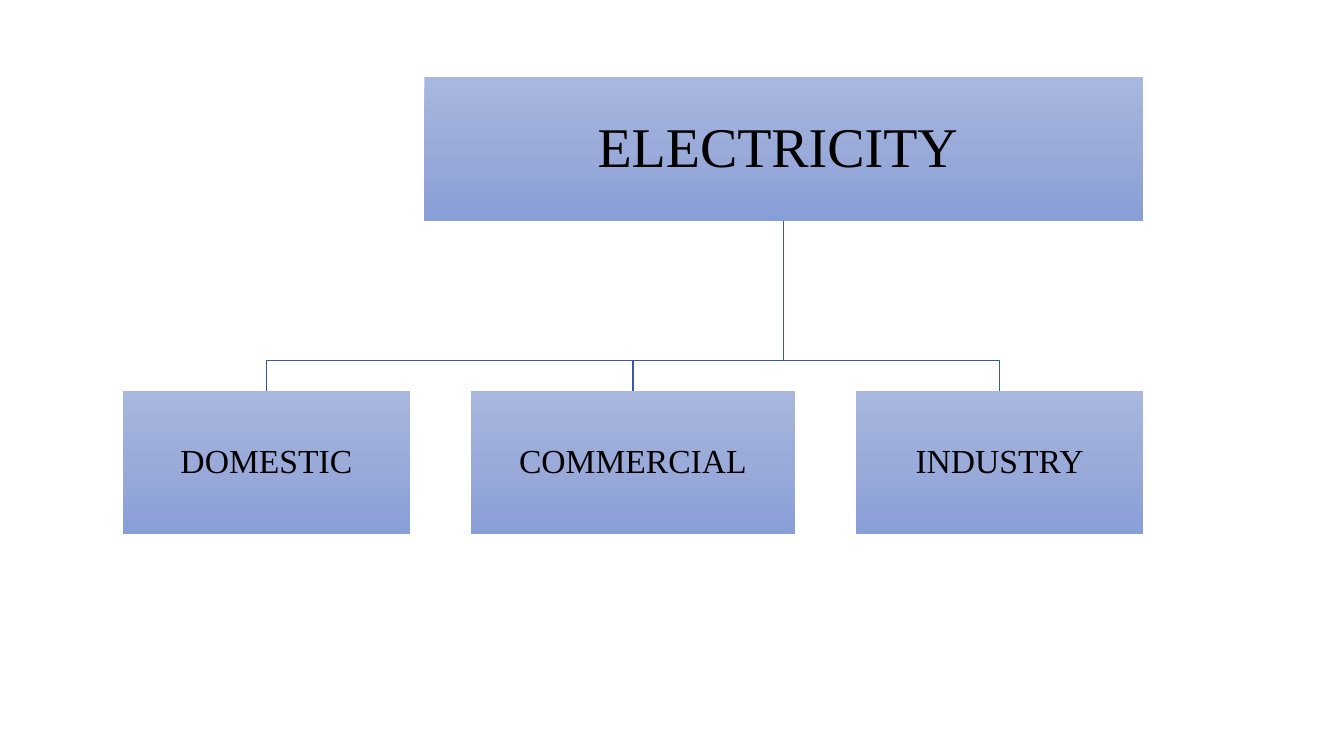
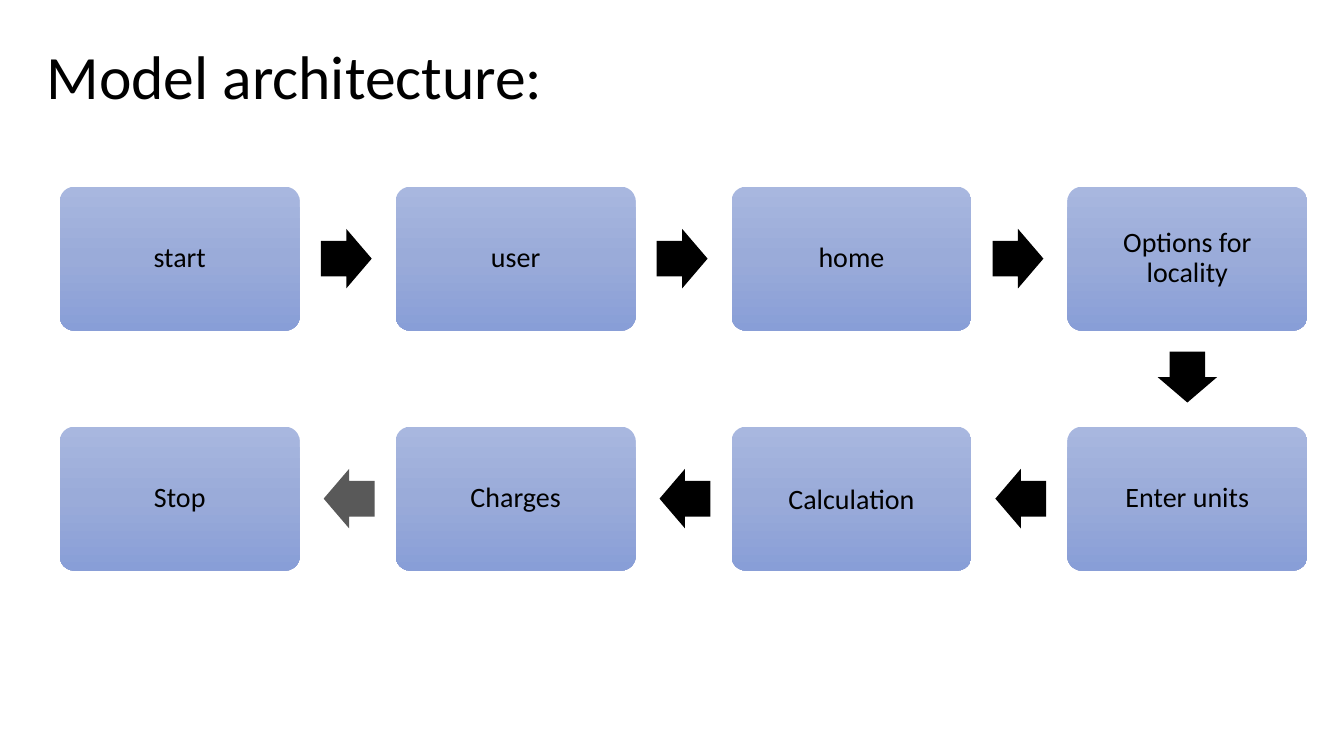
"""Build two slides: an electricity hierarchy and a model architecture flow."""
from copy import deepcopy
from dataclasses import dataclass

from pptx import Presentation
from pptx.dml.color import RGBColor
from pptx.enum.shapes import MSO_SHAPE
from pptx.enum.text import MSO_ANCHOR, MSO_AUTO_SIZE, PP_ALIGN
from pptx.oxml.ns import qn
from pptx.util import Pt

BLACK = "000000"
GREY = "595959"
LINE = "365B9D"
GRADIENT = ((0, "A8B7DF"), (0.5, "9AABD9"), (1, "889ED7"))
SERIF = "Times New Roman"
SANS = "Calibri"

BOX_H = 102.7
ROOT_TOP, BUS_Y, CHILD_TOP = 55.3, 257.6, 279.1
CHILD_LEFT, CHILD_GAP = 87.7, 43.5
ROOT_W = 513.4

STEP_W = 171.4
GRID_LEFT, GRID_TOP = 42.7, 133.4
COL_STEP, ROW_STEP = 239.9, 171.4
ARROW_W, ARROW_H, ARROW_GAP = 36.3, 42.5, 15.1


@dataclass(frozen=True)
class Box:
    """A labelled gradient box."""
    text: str
    left: float
    top: float
    width: float
    size: float
    font: str
    kind: MSO_SHAPE = MSO_SHAPE.RECTANGLE
    inset: float = 2
    extra_top: float = 0


@dataclass(frozen=True)
class Step:
    """A step of the flow, placed by grid column and row."""
    text: str
    col: int
    row: int
    arrow: str = BLACK
    extra_top: float = 0


CHILDREN = (("DOMESTIC", 205.1), ("COMMERCIAL", 231.6), ("INDUSTRY", 205.1))
STEPS = (
    Step("start", 0, 0),
    Step("user", 1, 0),
    Step("home", 2, 0),
    Step("Options for locality", 3, 0),
    Step("Enter units", 3, 1),
    Step("Calculation", 2, 1, extra_top=3),
    Step("Charges", 1, 1, GREY),
    Step("Stop", 0, 1),
)


def rgb(value: str) -> RGBColor:
    """Turn a hex string into a colour."""
    return RGBColor.from_string(value)


def format_text(tf, align, size: float, font: str) -> None:
    """Apply the shared text style to a frame."""
    tf.word_wrap = True
    tf.auto_size = MSO_AUTO_SIZE.NONE
    tf.vertical_anchor = MSO_ANCHOR.MIDDLE
    for p in tf.paragraphs:
        p.alignment = align
        p.line_spacing = 0.9
        for r in p.runs:
            r.font.size = Pt(size)
            r.font.name = font
            r.font.color.rgb = rgb(BLACK)


def fill_gradient(sp) -> None:
    """Fill a shape with the vertical three-stop gradient."""
    sp.fill.gradient()
    sp.fill.gradient_angle = 270
    stop_list = sp.element.spPr.find(".//" + qn("a:gsLst"))
    stop_list.insert(1, deepcopy(stop_list[0]))
    for stop, (position, colour) in zip(sp.fill.gradient_stops, GRADIENT):
        stop.position = position
        stop.color.rgb = rgb(colour)


def add_box(s, box: Box) -> None:
    """Draw a labelled gradient box."""
    sp = s.shapes.add_shape(box.kind, Pt(box.left), Pt(box.top), Pt(box.width), Pt(BOX_H))
    sp.shadow.inherit = False
    sp.line.fill.background()
    fill_gradient(sp)
    if box.kind == MSO_SHAPE.ROUNDED_RECTANGLE:
        sp.adjustments[0] = 0.1
    tf = sp.text_frame
    tf.margin_left = tf.margin_right = tf.margin_bottom = Pt(box.inset)
    tf.margin_top = Pt(box.inset + box.extra_top)
    tf.text = box.text
    format_text(tf, PP_ALIGN.CENTER, box.size, box.font)


def add_branch(s, root_x: float, child_x: float) -> None:
    """Draw the bent open outline from the root box to a child box."""
    builder = s.shapes.build_freeform(Pt(root_x), Pt(ROOT_TOP + BOX_H))
    bends = ((root_x, BUS_Y), (child_x, BUS_Y), (child_x, CHILD_TOP))
    builder.add_line_segments([(Pt(x), Pt(y)) for x, y in bends], close=False)
    sp = builder.convert_to_shape()
    sp.shadow.inherit = False
    sp.fill.background()
    sp.line.color.rgb = rgb(LINE)
    sp.line.width = Pt(1)


def add_arrow(s, start: Step, end: Step) -> None:
    """Draw the block arrow that leaves one step towards the next."""
    dx, dy = end.col - start.col, end.row - start.row
    reach = ARROW_GAP + ARROW_W / 2
    x = GRID_LEFT + start.col * COL_STEP + STEP_W / 2 + dx * (STEP_W / 2 + reach)
    y = GRID_TOP + start.row * ROW_STEP + BOX_H / 2 + dy * (BOX_H / 2 + reach)
    sp = s.shapes.add_shape(MSO_SHAPE.RIGHT_ARROW, Pt(x - ARROW_W / 2), Pt(y - ARROW_H / 2),
                            Pt(ARROW_W), Pt(ARROW_H))
    sp.adjustments[0], sp.adjustments[1] = 0.6, 0.5
    sp.rotation = {(1, 0): 0, (0, 1): 90, (-1, 0): 180}[dx, dy]
    sp.shadow.inherit = False
    sp.fill.solid()
    sp.fill.fore_color.rgb = rgb(start.arrow)
    sp.line.fill.background()


def build_hierarchy(prs) -> None:
    """Build the electricity hierarchy."""
    s = prs.slides.add_slide(prs.slide_layouts[6])
    left, children = CHILD_LEFT, []
    for text, width in CHILDREN:
        children.append(Box(text, left, CHILD_TOP, width, 24, SERIF))
        left += width + CHILD_GAP
    root_left = left - CHILD_GAP - ROOT_W
    for child in reversed(children):
        add_branch(s, root_left + ROOT_W / 2, child.left + child.width / 2)
    root = Box("ELECTRICITY ", root_left, ROOT_TOP, ROOT_W, 40, SERIF)
    for box in (root, *children):
        add_box(s, box)


def build_flow(prs) -> None:
    """Build the model architecture flow."""
    s = prs.slides.add_slide(prs.slide_layouts[5])
    title = s.shapes.title
    title.left, title.top, title.width, title.height = Pt(26), Pt(0), Pt(850), Pt(113.8)
    title.text_frame.text = "Model architecture:"
    format_text(title.text_frame, PP_ALIGN.LEFT, 44, SANS)
    for step in STEPS:
        add_box(s, Box(step.text, GRID_LEFT + step.col * COL_STEP,
                       GRID_TOP + step.row * ROW_STEP, STEP_W, 20, SANS,
                       MSO_SHAPE.ROUNDED_RECTANGLE, 8, step.extra_top))
    for start, end in zip(STEPS, STEPS[1:]):
        add_arrow(s, start, end)


def main() -> None:
    """Create and save the presentation."""
    prs = Presentation()
    prs.slide_width, prs.slide_height = Pt(960), Pt(540)
    build_hierarchy(prs)
    build_flow(prs)
    prs.save("out.pptx")


if __name__ == "__main__":
    main()
